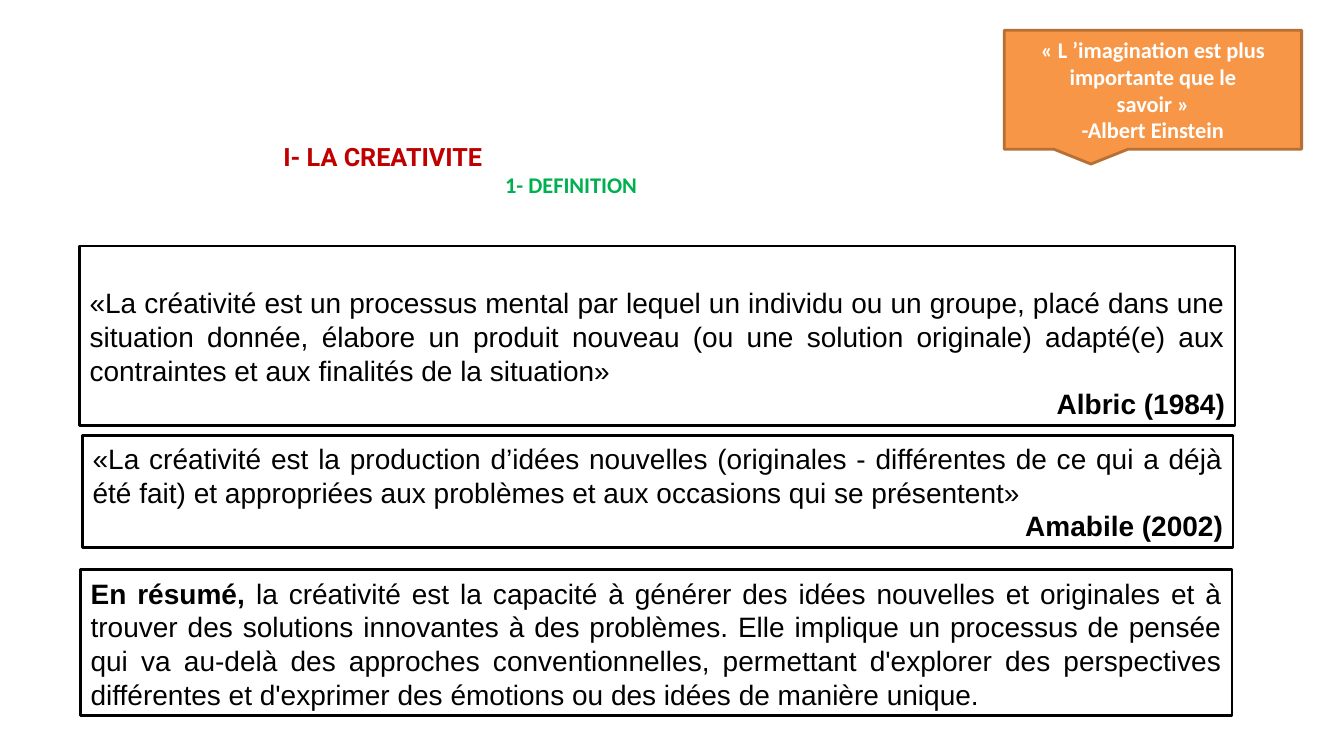
"""Builds a slide that defines creativity."""
import pptx
import pptx.dml.color
import pptx.enum.shapes
import pptx.enum.text
import pptx.util

Inches = pptx.util.Inches
Align = pptx.enum.text.PP_ALIGN
Anchor = pptx.enum.text.MSO_ANCHOR
Shapes = pptx.enum.shapes.MSO_SHAPE

COLORS = {
    "black": "000000",
    "white": "FFFFFF",
    "red": "C00000",
    "green": "00B050",
    "orange": "F79646",
    "brown": "B76F34",
}


class SlideBuilder:
    """Holds the style and the current slide."""

    def __init__(self, presentation):
        self.slide = presentation.slides.add_slide(presentation.slide_layouts[5])
        self.line_width = pptx.util.Pt(2)

    def color(self, name):
        """Return the named colour."""
        return pptx.dml.color.RGBColor.from_string(COLORS[name])

    def style(self, paragraph, font_name, size, color, bold, alignment):
        """Set the font and alignment of a paragraph."""
        paragraph.alignment = alignment
        paragraph.font.name = font_name
        paragraph.font.size = pptx.util.Pt(size)
        paragraph.font.bold = bold
        paragraph.font.color.rgb = self.color(color)

    def heading(self, box, title, subtitle, indent):
        """Fill the title placeholder with a heading and an indented line."""
        shape = self.slide.shapes.title
        shape.left, shape.top, shape.width, shape.height = map(Inches, box)
        frame = shape.text_frame
        frame.text = f"{title}\n{subtitle}"
        frame.auto_size = pptx.enum.text.MSO_AUTO_SIZE.NONE
        frame.vertical_anchor = Anchor.TOP
        first, second = frame.paragraphs
        self.style(first, "Roboto", 18, "red", True, Align.LEFT)
        self.style(second, "Calibri", 16, "green", True, Align.LEFT)
        second._p.get_or_add_pPr().set("marL", str(Inches(indent)))

    def filled_shape(self, kind, box, fill, line, anchor):
        """Add an outlined shape and return its text frame."""
        shape = self.slide.shapes.add_shape(kind, *map(Inches, box))
        shape.shadow.inherit = False
        shape.fill.solid()
        shape.fill.fore_color.rgb = self.color(fill)
        shape.line.color.rgb = self.color(line)
        shape.line.width = self.line_width
        frame = shape.text_frame
        frame.word_wrap = True
        frame.vertical_anchor = anchor
        return frame

    def definition(self, box, text, lead="", author=""):
        """Add a framed definition with an optional bold lead and author."""
        frame = self.filled_shape(Shapes.RECTANGLE, box, "white", "black", Anchor.BOTTOM)
        paragraph = frame.paragraphs[0]
        self.style(paragraph, "Arial", 20, "black", False, Align.JUSTIFY)
        if lead:
            run = paragraph.add_run()
            run.text = lead
            run.font.bold = True
        paragraph.add_run().text = text
        if author:
            paragraph = frame.add_paragraph()
            paragraph.text = author
            self.style(paragraph, "Arial", 20, "black", True, Align.RIGHT)

    def callout(self, box, lines):
        """Add the quotation callout."""
        frame = self.filled_shape(
            Shapes.RECTANGULAR_CALLOUT, box, "orange", "brown", Anchor.MIDDLE
        )
        frame.text = "\n".join(lines)
        for paragraph in frame.paragraphs:
            self.style(paragraph, "Calibri", 16, "white", True, Align.CENTER)


def main():
    """Build and save the slide."""
    presentation = pptx.Presentation()
    presentation.slide_width = Inches(13.33)
    presentation.slide_height = Inches(7.5)
    builder = SlideBuilder(presentation)
    builder.heading((2.71, 1.35, 4.49, 0.67), "I- LA CREATIVITE", "1- DEFINITION", 2.2)
    builder.definition(
        (0.79, 2.44, 11.46, 1.78),
        "«La créativité est un processus mental par lequel un individu ou un groupe, "
        "placé dans une situation donnée, élabore un produit nouveau (ou une solution "
        "originale) adapté(e) aux contraintes et aux finalités de la situation»",
        author="Albric (1984)",
    )
    builder.definition(
        (0.82, 4.32, 11.41, 1.11),
        "«La créativité est la production d’idées nouvelles (originales - différentes "
        "de ce qui a déjà été fait) et appropriées aux problèmes et aux occasions qui "
        "se présentent»",
        author="Amabile (2002)",
    )
    builder.definition(
        (0.8, 5.65, 11.42, 1.45),
        "la créativité est la capacité à générer des idées nouvelles et originales et "
        "à trouver des solutions innovantes à des problèmes. Elle implique un processus "
        "de pensée qui va au-delà des approches conventionnelles, permettant d'explorer "
        "des perspectives différentes et d'exprimer des émotions ou des idées de "
        "manière unique.",
        lead="En résumé, ",
    )
    builder.callout(
        (9.96, 0.3, 2.95, 1.18),
        ["« L ’imagination est plus importante que le", "savoir »", "-Albert Einstein"],
    )
    presentation.save("out.pptx")


if __name__ == "__main__":
    main()
